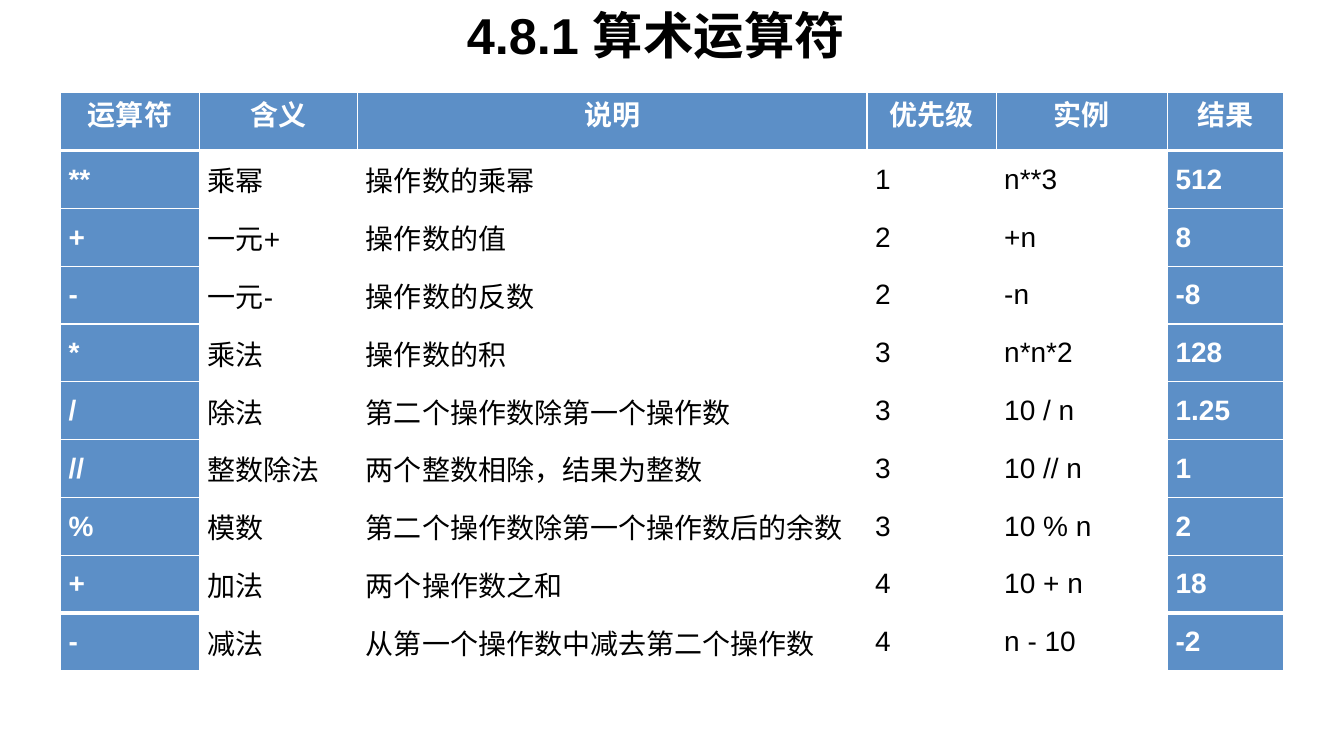
from lxml import etree
from pptx import Presentation
from pptx.dml.color import RGBColor
from pptx.enum.text import MSO_ANCHOR, PP_ALIGN
from pptx.oxml.ns import qn
from pptx.util import Inches, Pt

CENTER, JUSTIFY = PP_ALIGN.CENTER, PP_ALIGN.JUSTIFY
TOP, MIDDLE = MSO_ANCHOR.TOP, MSO_ANCHOR.MIDDLE
BLACK = RGBColor(0x00, 0x00, 0x00)
WHITE = RGBColor(0xFF, 0xFF, 0xFF)
BLUE = RGBColor(0x5C, 0x8F, 0xC7)
FONT = "Arial"

TITLE_BOX = (1.23, 0.08, 10.55, 0.6)
TABLE_BOX = (0.6, 0.92, 12.13, 5.74)
COLUMN_WIDTHS = (1.38, 1.57, 5.05, 1.28, 1.7, 1.15)
OPERATORS = (
    ("运算符", "含义", "说明", "优先级", "实例", "结果"),
    ("**", "乘幂", "操作数的乘幂", "1", "n**3", "512"),
    ("+", "一元+", "操作数的值", "2", "+n", "8"),
    ("-", "一元-", "操作数的反数", "2", "-n", "-8"),
    ("*", "乘法", "操作数的积", "3", "n*n*2", "128"),
    ("/", "除法", "第二个操作数除第一个操作数", "3", "10 / n", "1.25"),
    ("//", "整数除法", "两个整数相除，结果为整数", "3", "10 // n", "1"),
    ("%", "模数", "第二个操作数除第一个操作数后的余数", "3", "10 % n", "2"),
    ("+", "加法", "两个操作数之和", "4", "10 + n", "18"),
    ("-", "减法", "从第一个操作数中减去第二个操作数", "4", "n - 10", "-2"),
)
THICK_EDGES = (1, len(OPERATORS) - 1)


def format_text(para, size, color, bold, align):
    para.alignment = align
    for span in para.runs:
        font = span.font
        font.name = FONT
        font.size = Pt(size)
        font.bold = bold
        font.color.rgb = color


def add_title(page, box, text):
    title = page.shapes.title
    title.left, title.top, title.width, title.height = map(Inches, box)
    frame = title.text_frame
    frame.text = text
    frame.vertical_anchor = MIDDLE
    para = frame.paragraphs[0]
    para.line_spacing = 0.9
    format_text(para, 36, BLACK, True, CENTER)


def set_borders(cell, row):
    properties = cell._tc.get_or_add_tcPr()
    top = 3 if row in THICK_EDGES else 1
    bottom = 3 if row + 1 in THICK_EDGES else 1
    widths = {"a:lnL": 1, "a:lnR": 1, "a:lnT": top, "a:lnB": bottom}
    for position, (tag, width) in enumerate(widths.items()):
        line = etree.Element(qn(tag), w=str(Pt(width)))
        fill = etree.SubElement(line, qn("a:solidFill"))
        etree.SubElement(fill, qn("a:srgbClr"), val=str(WHITE))
        properties.insert(position, line)


def format_cell(cell, text, row, column):
    is_header = row == 0
    is_blue = is_header or column in (0, len(COLUMN_WIDTHS) - 1)
    cell.text = text
    cell.margin_left = cell.margin_right = Inches(0.08)
    cell.margin_top = cell.margin_bottom = 0
    cell.vertical_anchor = TOP if is_header else MIDDLE
    cell.fill.solid()
    cell.fill.fore_color.rgb = BLUE if is_blue else WHITE
    para = cell.text_frame.paragraphs[0]
    if is_header:
        para.space_before = Pt(7.8)
    format_text(para, 20, WHITE if is_blue else BLACK, is_blue,
                CENTER if is_header else JUSTIFY)
    set_borders(cell, row)


def add_operator_table(page, box, rows):
    table = page.shapes.add_table(
        len(rows), len(COLUMN_WIDTHS), *map(Inches, box)).table
    for column, width in zip(table.columns, COLUMN_WIDTHS):
        column.width = Inches(width)
    for row, texts in enumerate(rows):
        for column, text in enumerate(texts):
            format_cell(table.cell(row, column), text, row, column)


def main():
    deck = Presentation()
    deck.slide_width, deck.slide_height = Inches(13.33), Inches(7.5)
    page = deck.slides.add_slide(deck.slide_layouts[5])
    add_title(page, TITLE_BOX, "4.8.1 算术运算符")
    add_operator_table(page, TABLE_BOX, OPERATORS)
    deck.save("out.pptx")


if __name__ == "__main__":
    main()
